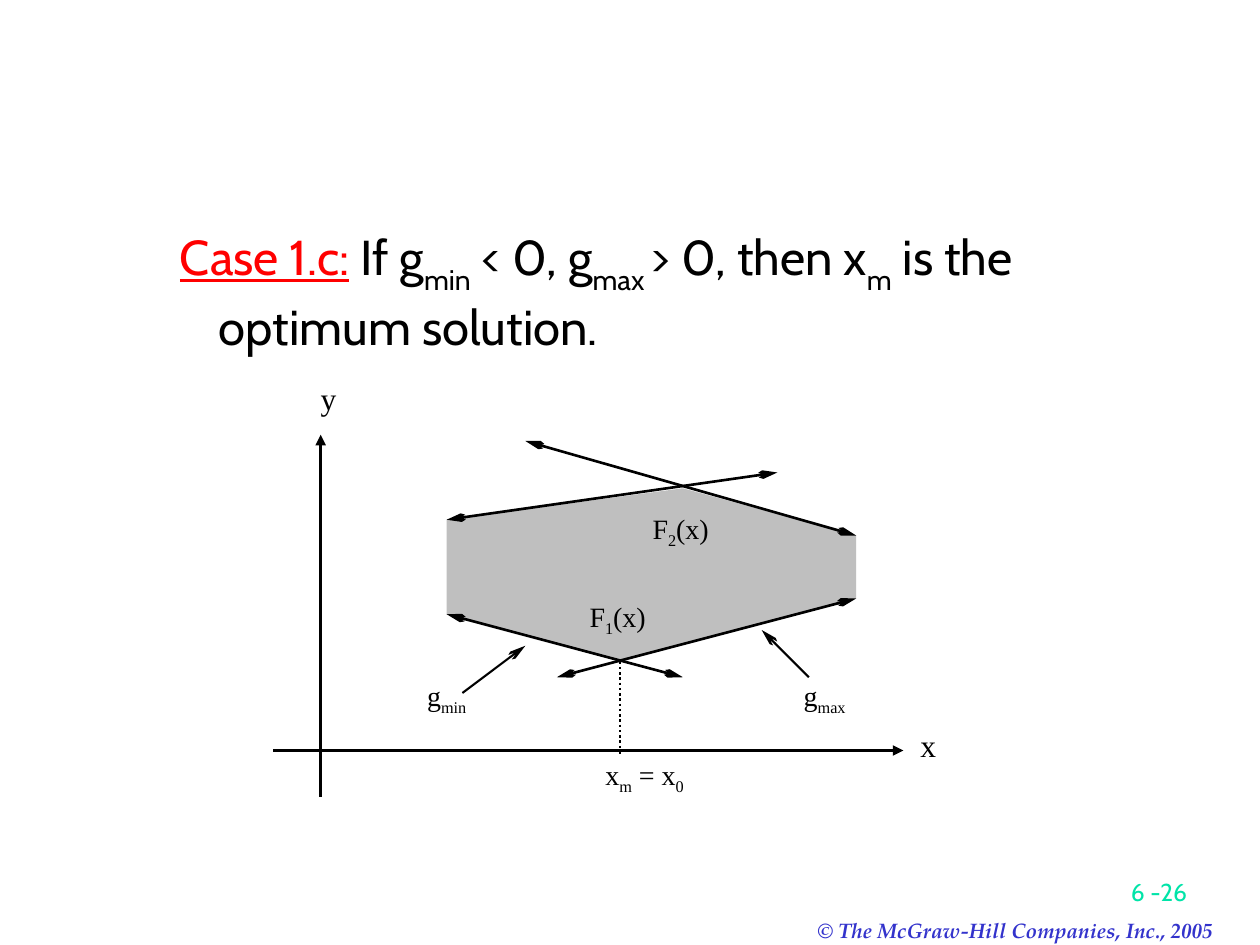
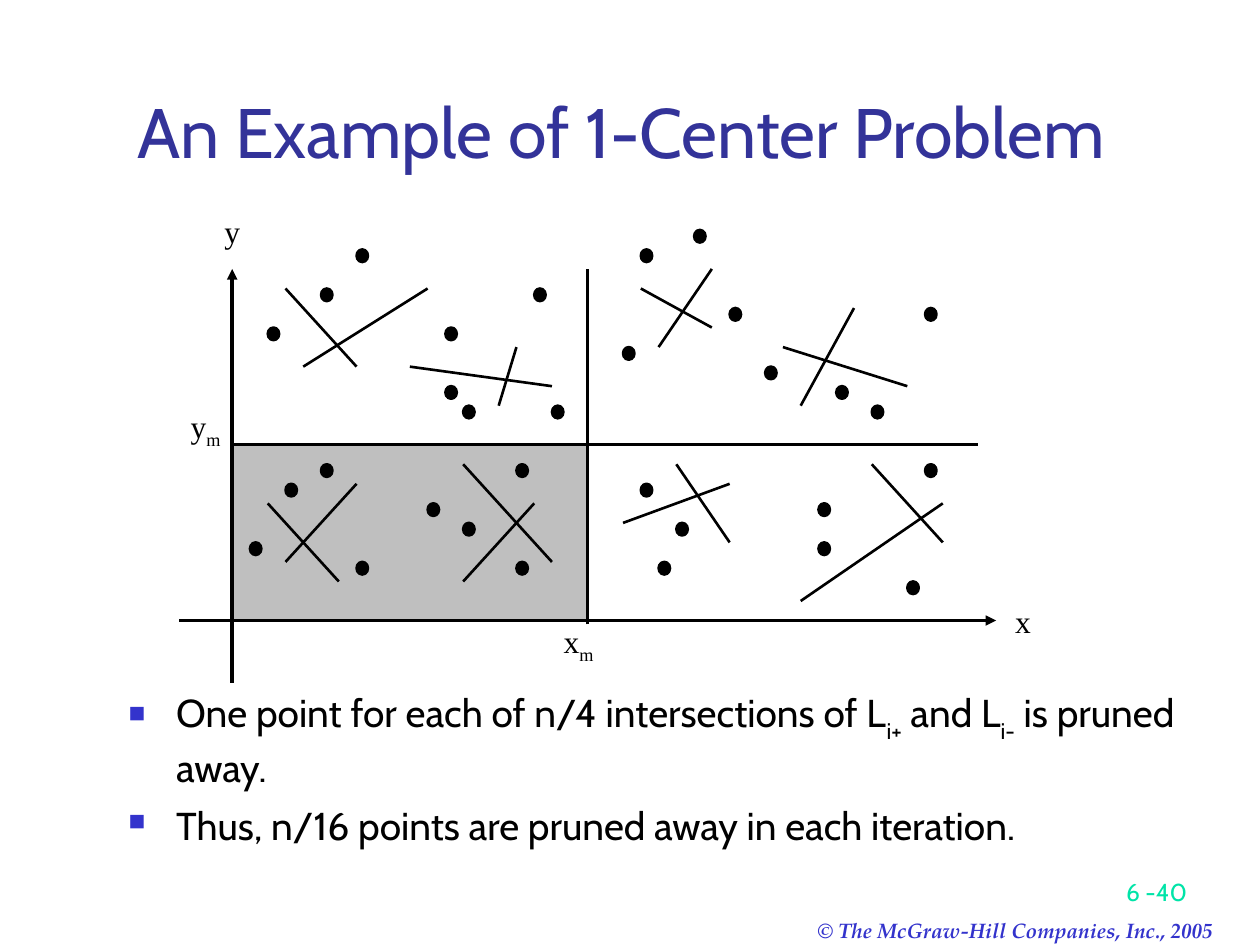
from dataclasses import dataclass

from lxml.etree import SubElement
from pptx import Presentation
from pptx.dml.color import RGBColor
from pptx.enum.dml import MSO_LINE_DASH_STYLE as Dash
from pptx.enum.shapes import MSO_CONNECTOR as Connector, MSO_SHAPE as Shape
from pptx.enum.text import MSO_ANCHOR as Anchor, PP_ALIGN as Align
from pptx.oxml.ns import qn
from pptx.util import Inches, Pt

BLACK = RGBColor(0x00, 0x00, 0x00)
GRAY = RGBColor(0xBF, 0xBF, 0xBF)
RED = RGBColor(0xFF, 0x00, 0x00)
BLUE = RGBColor(0x33, 0x33, 0xCC)
TITLE_BLUE = RGBColor(0x33, 0x33, 0x99)
GREEN = RGBColor(0x00, 0xE4, 0xA8)

SANS, SERIF, LABEL = "Cabin", "TeX Gyre Pagella", "Times New Roman"
TITLE_ONLY, BLANK = 5, 6
TRIANGLE = {"type": "triangle", "w": "med", "len": "med"}
ARROW = {"type": "arrow", "w": "sm", "len": "lg"}


@dataclass
class Grid:
    """Columns and rows of a drawing, counted from its top left corner."""
    left: float
    top: float
    column: float
    row: float

    def point(self, column, row):
        return (Inches(self.left + column * self.column),
                Inches(self.top + row * self.row))

    def box(self, column, row, columns, rows):
        return (*self.point(column, row),
                Inches(columns * self.column), Inches(rows * self.row))


# ---- Shared helpers ----

def inches(*lengths):
    return [Inches(length) for length in lengths]


def write_text(shape, *texts, size, font=SANS, color=BLACK, bold=None, italic=None,
               align=Align.LEFT, anchor=Anchor.TOP, inset=(0.1, 0.05), lead="",
               indent=(0, 0), gap=0, bullet=None, drop=-30):
    """Write one paragraph per text; parts between bars are subscripts."""
    frame = shape.text_frame
    frame.word_wrap = True
    frame.vertical_anchor = anchor
    frame.margin_left = frame.margin_right = Inches(inset[0])
    frame.margin_top = frame.margin_bottom = Inches(inset[1])
    for number, text in enumerate(texts):
        paragraph = frame.add_paragraph() if number else frame.paragraphs[0]
        paragraph.alignment = align
        paragraph.space_before = Pt(gap if number else 0)
        properties = paragraph._p.get_or_add_pPr()
        properties.set("marL", str(Inches(indent[0])))
        properties.set("indent", str(Inches(indent[1])))
        if bullet:
            bullet_color = SubElement(properties, qn("a:buClr"))
            SubElement(bullet_color, qn("a:srgbClr"), val=str(BLUE))
            SubElement(properties, qn("a:buSzPct"), val="60000")
            SubElement(properties, qn("a:buChar"), char=bullet)
        parts = [(part, color, index % 2) for index, part in enumerate(text.split("|"))]
        if lead:
            parts.insert(0, (lead, RED, False))
        for part, part_color, lowered in parts:
            run = paragraph.add_run()
            run.text = part
            run.font.name, run.font.size = font, Pt(size)
            run.font.bold, run.font.italic = bold, italic
            run.font.color.rgb = part_color
            run.font.underline = part == lead or None
            if lowered:
                run._r.get_or_add_rPr().set("baseline", str(drop * 1000))


def add_text(slide, box, *texts, **style):
    write_text(slide.shapes.add_textbox(*box), *texts, **style)


def add_label(slide, grid, cells, text, size=18, align=Align.CENTER):
    add_text(slide, grid.box(*cells), text, size=size, font=LABEL,
             align=align, inset=(0.01, 0.01), drop=-25)


def add_line(slide, grid, segment, width=1.5, head=None, tail=None, dash=None):
    start, end = grid.point(*segment[:2]), grid.point(*segment[2:])
    connector = slide.shapes.add_connector(Connector.STRAIGHT, *start, *end)
    connector.line.color.rgb = BLACK
    connector.line.width = Pt(width)
    if dash:
        connector.line.dash_style = dash
    line = connector.line._get_or_add_ln()
    for tag, arrow in (("a:headEnd", head), ("a:tailEnd", tail)):
        if arrow:
            SubElement(line, qn(tag), **arrow)
    SubElement(connector._element.spPr, qn("a:effectLst"))


def add_axes(slide, grid, *axes):
    for axis in axes:
        add_line(slide, grid, axis, width=2, head=TRIANGLE)


def add_filled(slide, kind, box, fill):
    shape = slide.shapes.add_shape(kind, *box)
    shape.shadow.inherit = False
    shape.fill.solid()
    shape.fill.fore_color.rgb = fill
    shape.line.color.rgb = BLACK
    shape.line.width = Pt(1.5)


def add_footer(slide, number):
    add_text(slide, inches(6.39, 7.23, 3.68, 0.3),
             "© The McGraw-Hill Companies, Inc., 2005",
             size=12, font=SERIF, color=BLUE, bold=True, italic=True)
    add_text(slide, inches(7.44, 6.74, 2.08, 0.5), f"6 -{number}", size=14,
             color=GREEN, align=Align.RIGHT, anchor=Anchor.BOTTOM)


def add_slide(presentation, number, title=None):
    layout = presentation.slide_layouts[TITLE_ONLY if title else BLANK]
    slide = presentation.slides.add_slide(layout)
    add_footer(slide, number)
    if title:
        shape = slide.shapes.title
        shape.left, shape.top, shape.width, shape.height = inches(0.67, 0.58, 8.52, 0.84)
        write_text(shape, title, size=40, color=TITLE_BLUE,
                   align=Align.CENTER, anchor=Anchor.BOTTOM)
    return slide


# ---- Feasible region between F1 and F2 ----

REGION = [(11, 9), (11, 15), (22, 18), (37, 14), (37, 10), (26, 7)]
CONSTRAINTS = [(11, 9, 32, 6), (16, 4, 37, 10), (11, 15, 26, 19), (18, 19, 37, 14)]
POINTERS = [(12, 20, 16, 17), (34, 19, 31, 16)]


def draw_feasible_region(slide, grid):
    # Shaded region
    corners = [grid.point(*corner) for corner in REGION]
    builder = slide.shapes.build_freeform(*corners[0])
    builder.add_line_segments(corners[1:], close=True)
    region = builder.convert_to_shape()
    region.shadow.inherit = False
    region.fill.solid()
    region.fill.fore_color.rgb = GRAY
    region.line.fill.background()

    # Axes, constraints and the optimum
    add_axes(slide, grid, (3, 3.6, 3, 26.6), (40, 23.65, 0, 23.65))
    for constraint in CONSTRAINTS:
        add_line(slide, grid, constraint, head=ARROW, tail=ARROW)
    add_line(slide, grid, (22, 18, 22, 24), dash=Dash.ROUND_DOT)
    for pointer in POINTERS:
        add_line(slide, grid, pointer, width=1.2, tail=ARROW)

    # Labels
    add_label(slide, grid, (2, 0, 3, 3), "y")
    add_label(slide, grid, (41, 22, 3, 3), "x", align=Align.LEFT)
    add_label(slide, grid, (9, 19, 4, 3), "g|min|", size=16)
    add_label(slide, grid, (33, 19, 4, 3), "g|max|", size=16)
    for cells, text in (((21, 24, 6, 2.4), "x|m| = x|0|"),
                        ((24, 8.4, 4, 3), "F|2|(x)"),
                        ((20, 14, 4, 3), "F|1|(x)")):
        add_label(slide, grid, cells, text, size=16, align=Align.LEFT)


def build_case_slide(presentation):
    slide = add_slide(presentation, 26)
    add_text(slide, inches(0.83, 1.75, 8.5, 1.25),
             " If g|min| < 0, g|max |> 0, then x|m| is the optimum solution.",
             lead="Case 1.c:", size=28, indent=(0.81, -0.31))
    draw_feasible_region(slide, Grid(2.17, 3, 0.125, 0.125))


# ---- Points and bisectors of the 1-center problem ----

BISECTORS = [
    # Upper left
    (7, 8, 14, 4), (6, 4, 10, 8), (13, 8, 21, 9), (19, 7, 18, 10),
    # Lower left
    (10, 14, 6, 18), (5, 15, 9, 19), (16, 13, 21, 18), (20, 15, 16, 19),
    # Lower right
    (25, 16, 31, 14), (28, 13, 31, 17), (39, 13, 43, 17), (43, 15, 35, 20),
    # Upper right
    (26, 4, 30, 6), (30, 3, 27, 7), (34, 7, 41, 9), (35, 10, 38, 5),
]
POINTS = [
    # Upper left
    (5, 6), (8, 4), (10, 2), (15, 6), (20, 4), (15, 9), (16, 10), (21, 10),
    # Upper right
    (26, 2), (29, 1), (25, 7), (31, 5), (42, 5), (33, 8), (37, 9), (39, 10),
    # Lower right
    (42, 13), (41, 19), (36, 15), (36, 17), (26, 14), (28, 16), (27, 18),
    # Lower left
    (19, 13), (19, 18), (16, 16), (14, 15), (10, 18), (8, 13), (6, 14), (4, 17),
]


def draw_point_plane(slide, grid):
    # Pruned quadrant, axes and medians
    add_filled(slide, Shape.RECTANGLE, grid.box(3, 12, 20, 9), GRAY)
    add_axes(slide, grid, (3, 3, 3, 24.2), (46, 21, 0, 21))
    for line in [(3, 12, 45, 12), (23, 21.2, 23, 3), *BISECTORS]:
        add_line(slide, grid, line)

    # Points
    for column, row in POINTS:
        box = *grid.point(column, row), Inches(0.09), Inches(0.1)
        add_filled(slide, Shape.OVAL, box, BLACK)

    # Labels
    add_label(slide, grid, (2, 0, 2, 3), "y")
    add_label(slide, grid, (0, 10, 3, 3), "y|m|")
    add_label(slide, grid, (47, 20, 2, 2), "x", align=Align.LEFT)
    add_label(slide, grid, (21, 21, 3, 3), "x|m|")


def build_center_slide(presentation):
    slide = add_slide(presentation, 40, title="An Example of 1-Center Problem")
    add_text(slide, inches(0.92, 5.42, 8.5, 1.58),
             "One point for each of n/4 intersections of L|i+| and L|i-| is pruned away.",
             "Thus, n/16 points are pruned away in each iteration.",
             size=22.2, align=Align.JUSTIFY, indent=(0.38, -0.38), gap=6, bullet="■")
    draw_point_plane(slide, Grid(1.42, 1.67, 0.141, 0.155))


def main():
    presentation = Presentation()
    presentation.slide_width, presentation.slide_height = inches(10, 7.5)
    build_case_slide(presentation)
    build_center_slide(presentation)
    presentation.save("out.pptx")


if __name__ == "__main__":
    main()
